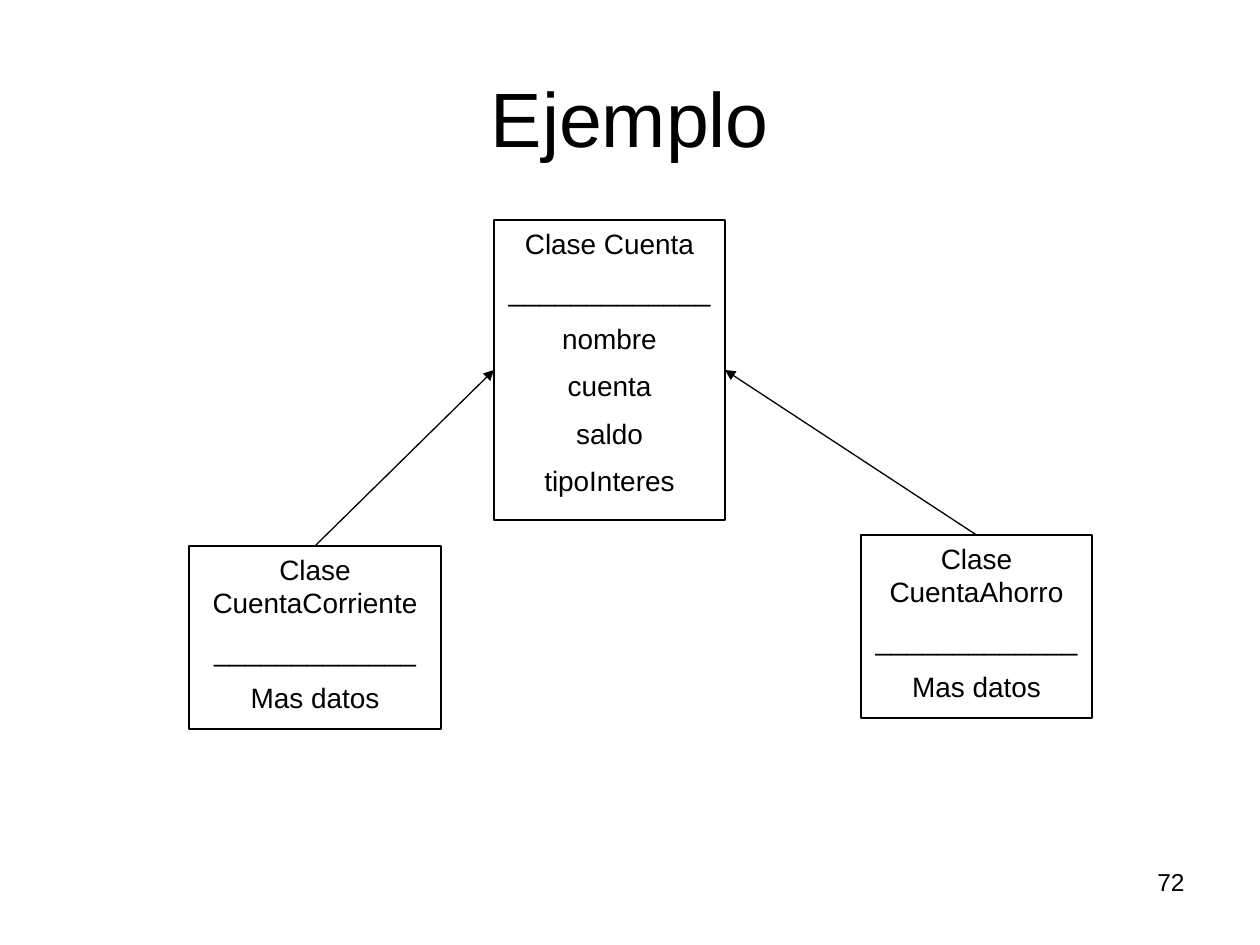
from pptx import Presentation
from pptx import util as u
from pptx.dml.color import RGBColor
from pptx.enum import shapes, text
from pptx.oxml import ns
from lxml import etree

BLACK = RGBColor(0, 0, 0)
SCALE = 914400 // 126
TOP, LEFT, RIGHT = 0, 1, 3  # connection sites of a rectangle


class Page:
    font = "Arial"
    weight = u.Pt(0.75)
    gap = u.Pt(8)

    def __init__(self, slide):
        self.shapes = slide.shapes

    def fill_text(self, shape, lines, size, align, anchor):
        frame = shape.text_frame
        frame.word_wrap = True
        frame.vertical_anchor = anchor
        frame.text = "\n".join(lines)
        for i, para in enumerate(frame.paragraphs):
            para.alignment = align
            para.space_before = self.gap if i else u.Pt(0)
            para.font.name = self.font
            para.font.size = u.Pt(size)
            para.font.color.rgb = BLACK

    def label(self, words, box, size, align, anchor):
        shape = self.shapes.add_textbox(*(n * SCALE for n in box))
        self.fill_text(shape, [words], size, align, anchor)

    def entity(self, name, fields, box):
        shape = self.shapes.add_shape(
            shapes.MSO_SHAPE.RECTANGLE, *(n * SCALE for n in box))
        shape.shadow.inherit = False
        shape.fill.background()
        shape.line.color.rgb = BLACK
        shape.line.width = self.weight
        self.fill_text(shape, [name, "_" * 13, *fields], 16,
                       text.PP_ALIGN.CENTER, text.MSO_ANCHOR.TOP)
        return shape

    def arrow(self, child, start, parent, end):
        line = self.shapes.add_connector(
            shapes.MSO_CONNECTOR.STRAIGHT, 0, 0, 0, 0)
        line.begin_connect(child, start)
        line.end_connect(parent, end)
        line.line.color.rgb = BLACK
        line.line.width = self.weight
        props = line._element.spPr
        etree.SubElement(props.find(ns.qn("a:ln")), ns.qn("a:tailEnd"),
                         type="triangle")
        etree.SubElement(props, ns.qn("a:effectLst"))


deck = Presentation()
deck.slide_width = u.Inches(10)
deck.slide_height = u.Inches(7.5)
page = Page(deck.slides.add_slide(deck.slide_layouts[6]))

# Title and page number
page.label("Ejemplo", (63, 38, 1134, 158), 44,
           text.PP_ALIGN.CENTER, text.MSO_ANCHOR.MIDDLE)
page.label("72", (903, 861, 294, 66), 14,
           text.PP_ALIGN.RIGHT, text.MSO_ANCHOR.TOP)

# Base class and its two subclasses
base = page.entity("Clase Cuenta",
                   ["nombre", "cuenta", "saldo", "tipoInteres"],
                   (494, 220, 231, 300))
current = page.entity("Clase CuentaCorriente", ["Mas datos"],
                      (189, 546, 252, 183))
savings = page.entity("Clase CuentaAhorro", ["Mas datos"],
                      (861, 535, 231, 183))

# Inheritance arrows, from the top of each subclass to a side of the base
page.arrow(current, TOP, base, LEFT)
page.arrow(savings, TOP, base, RIGHT)

deck.save("out.pptx")
